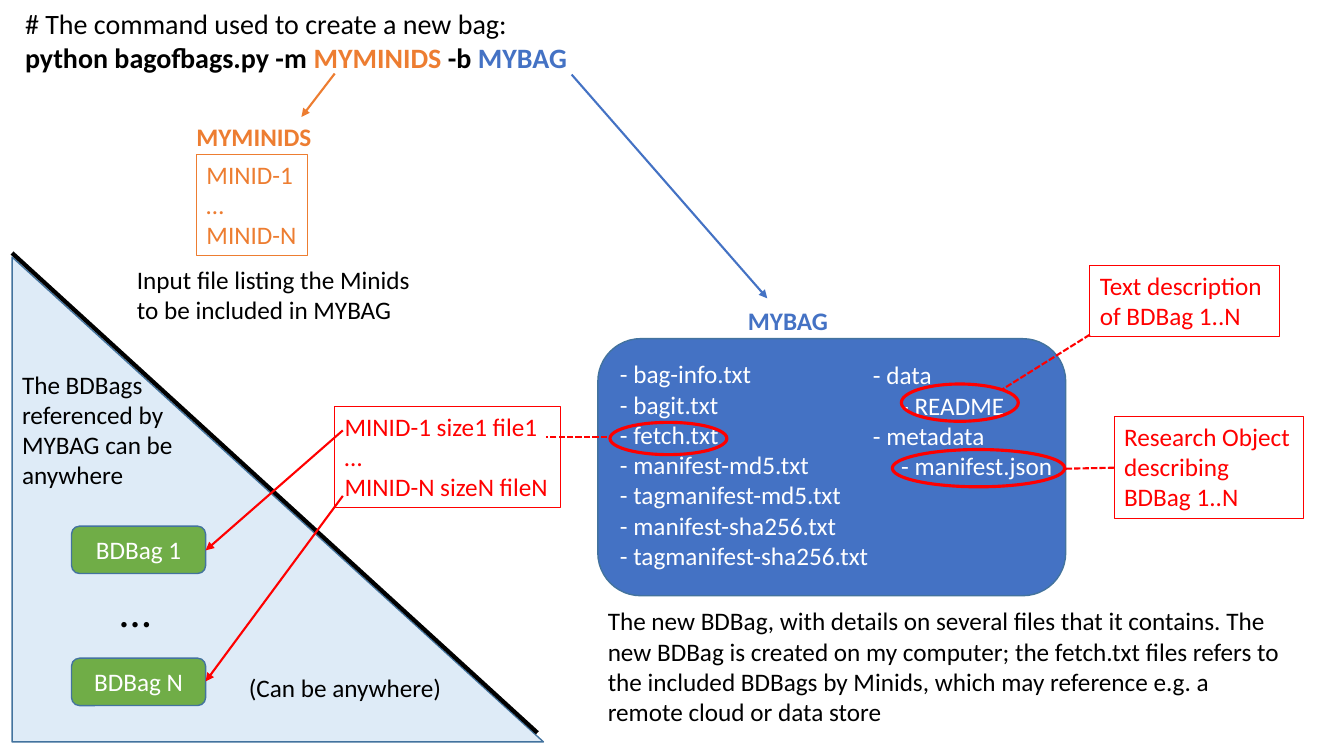
from pptx import Presentation
from pptx.dml.color import RGBColor
from pptx.enum.dml import MSO_LINE
from pptx.enum.shapes import MSO_CONNECTOR, MSO_SHAPE
from pptx.enum.text import MSO_ANCHOR, MSO_AUTO_SIZE, PP_ALIGN
from pptx.oxml.ns import qn
from pptx.util import Inches, Pt
from lxml import etree

STRAIGHT = MSO_CONNECTOR.STRAIGHT
DASH = MSO_LINE.SQUARE_DOT
TRIANGLE = MSO_SHAPE.RIGHT_TRIANGLE
ROUNDED = MSO_SHAPE.ROUNDED_RECTANGLE
RECTANGLE = MSO_SHAPE.RECTANGLE
ELLIPSE = MSO_SHAPE.OVAL
MIDDLE, TOP = MSO_ANCHOR.MIDDLE, MSO_ANCHOR.TOP
CENTER, LEFT = PP_ALIGN.CENTER, PP_ALIGN.LEFT
GROW = MSO_AUTO_SIZE.SHAPE_TO_FIT_TEXT

FONT = "Calibri"
BLACK, WHITE, RED = "000000", "FFFFFF", "FF0000"
ORANGE, BLUE, GREEN = "ED7D31", "4472C4", "70AD47"
PALE_BLUE, OUTLINE = "DEEBF7", "43739E"


def color(value):
    return RGBColor.from_string(value)


def add_run(paragraph, text, ink, size=18, bold=False):
    run = paragraph.add_run()
    run.text = text
    run.font.name = FONT
    run.font.size = Pt(size)
    run.font.bold = bold
    run.font.color.rgb = color(ink)


def write_lines(shape, lines, ink, size=18, bold=False, align=LEFT):
    frame = shape.text_frame
    for index, line in enumerate(lines):
        paragraph = frame.paragraphs[0] if index == 0 else frame.add_paragraph()
        paragraph.alignment = align
        add_run(paragraph, line, ink, size, bold)


def add_text(slide, box, lines=(), ink=BLACK, size=18, bold=False, wrap=False):
    shape = slide.shapes.add_textbox(*map(Inches, box))
    shape.text_frame.word_wrap = wrap
    shape.text_frame.auto_size = GROW
    write_lines(shape, lines, ink, size, bold)
    return shape


def add_box(slide, kind, box, fill=None, line=OUTLINE, width=1):
    shape = slide.shapes.add_shape(kind, *map(Inches, box))
    shape.shadow.inherit = False
    if fill:
        shape.fill.solid()
        shape.fill.fore_color.rgb = color(fill)
    else:
        shape.fill.background()
    shape.line.color.rgb = color(line)
    shape.line.width = Pt(width)
    return shape


def add_note(slide, box, lines, ink=RED, fill=None, wrap=False):
    shape = add_box(slide, RECTANGLE, box, fill, ink, 0.75)
    shape.text_frame.word_wrap = wrap
    shape.text_frame.auto_size = GROW
    shape.text_frame.vertical_anchor = TOP
    write_lines(shape, lines, ink)


def add_bag(slide, top, label):
    shape = add_box(slide, ROUNDED, (0.71, top, 1.33, 0.47), GREEN)
    shape.text_frame.vertical_anchor = MIDDLE
    write_lines(shape, [label], WHITE, align=CENTER)


def add_line(slide, start, end, ink=RED, width=1.5, dashed=False, arrow=False):
    connector = slide.shapes.add_connector(
        STRAIGHT, *map(Inches, (*start, *end)))
    connector.line.color.rgb = color(ink)
    connector.line.width = Pt(width)
    if dashed:
        connector.line.dash_style = DASH
    if arrow:
        etree.SubElement(connector.line._get_or_add_ln(), qn("a:tailEnd"), type="triangle")
    etree.SubElement(connector._element.spPr, qn("a:effectLst"))


def add_command(slide):
    shape = add_text(slide, (0.15, 0.02, 5.63, 0.77))
    paragraph = shape.text_frame.paragraphs[0]
    add_run(paragraph, "# The command used to create a new bag:", BLACK, 20)
    paragraph.add_line_break()
    for text, ink in (("python bagofbags.py -m ", BLACK), ("MYMINIDS", ORANGE),
                      (" -b ", BLACK), ("MYBAG", BLUE)):
        add_run(paragraph, text, ink, 20, True)


def add_minids(slide):
    add_note(slide, (1.95, 1.53, 1.1, 1.01), ["MINID-1", "…", "MINID-N"], ORANGE)
    add_text(slide, (1.85, 1.15, 1.36, 0.4), ["MYMINIDS"], ORANGE, bold=True, wrap=True)
    add_text(slide, (1.26, 2.57, 2.99, 0.71),
             ["Input file listing the Minids to be included in MYBAG"], wrap=True)


def add_mybag(slide):
    add_box(slide, ROUNDED, (5.93, 3.36, 4.64, 2.55), BLUE)
    add_text(slide, (7.32, 2.98, 1, 0.4), ["MYBAG"], BLUE, bold=True)
    add_text(slide, (6.05, 3.51, 2.69, 2.22),
             ["- bag-info.txt", "- bagit.txt", "- fetch.txt", "- manifest-md5.txt",
              "- tagmanifest-md5.txt", "- manifest-sha256.txt",
              "- tagmanifest-sha256.txt"], WHITE)
    folders = add_text(slide, (8.56, 3.52, 2, 1.31),
                       ["- data", "- README", "- metadata", "- manifest.json"], WHITE)
    for paragraph in folders.text_frame.paragraphs[1::2]:
        paragraph._p.get_or_add_pPr().set("marL", str(Inches(0.28)))
    for box in ((6.05, 4.19, 1.16, 0.32), (8.94, 3.81, 1.16, 0.37),
                (8.85, 4.46, 1.71, 0.37)):
        add_box(slide, ELLIPSE, box, line=RED, width=2.25)
    add_text(slide, (5.93, 5.96, 6.87, 1.31),
             ["The new BDBag, with details on several files that it contains. "
              "The new BDBag is created on my computer; the fetch.txt files refers to "
              "the included BDBags by Minids, which may reference e.g. a remote cloud "
              "or data store"], wrap=True)


def add_anywhere(slide):
    add_bag(slide, 5.22, "BDBag 1")
    add_bag(slide, 6.53, "BDBag N")
    add_text(slide, (1.26 - 0.17, 5.73, 0.51, 0.64), ["…"], size=32)
    shape = add_text(slide, (0.12, 3.61, 1.92, 1.31), wrap=True)
    paragraph = shape.text_frame.paragraphs[0]
    add_run(paragraph, "The BDBags", BLACK)
    paragraph.add_line_break()
    add_run(paragraph, "referenced by MYBAG can be anywhere", BLACK)
    add_text(slide, (2.37, 6.62, 2.14, 0.4), ["(Can be anywhere)"])


def add_notes(slide):
    add_note(slide, (3.32, 4.03, 2.24, 1.01),
             ["MINID-1 size1 file1", "…", "MINID-N sizeN fileN"], fill=WHITE)
    add_note(slide, (10.81, 2.63, 1.88, 0.71),
             ["Text description of BDBag 1..N"], wrap=True)
    add_note(slide, (11.05, 4.13, 1.88, 1.01),
             ["Research Object describing BDBag 1..N"], wrap=True)
    for start, end in (((6.02, 4.34), (5.42, 4.34)), ((11.05, 4.64), (10.57, 4.65)),
                       ((10.81, 3.32), (9.93, 3.87))):
        add_line(slide, start, end, dashed=True)


def main():
    presentation = Presentation()
    presentation.slide_width = Inches(13.33)
    presentation.slide_height = Inches(7.5)
    slide = presentation.slides.add_slide(presentation.slide_layouts[6])
    add_box(slide, TRIANGLE, (0.12, 2.55, 5.27, 4.81), PALE_BLUE)
    add_command(slide)
    add_minids(slide)
    add_mybag(slide)
    add_anywhere(slide)
    add_line(slide, (0.12, 2.51), (5.33, 7.27), BLACK, 3)
    add_notes(slide)
    for start, end, ink in (((3.32, 0.73), (2.99, 1.16), ORANGE),
                            ((5.67, 0.74), (7.61, 2.96), BLUE),
                            ((3.4, 4.27), (2.04, 5.46), RED),
                            ((3.4, 4.92), (2.04, 6.76), RED)):
        add_line(slide, start, end, ink, arrow=True)
    presentation.save("out.pptx")


main()
